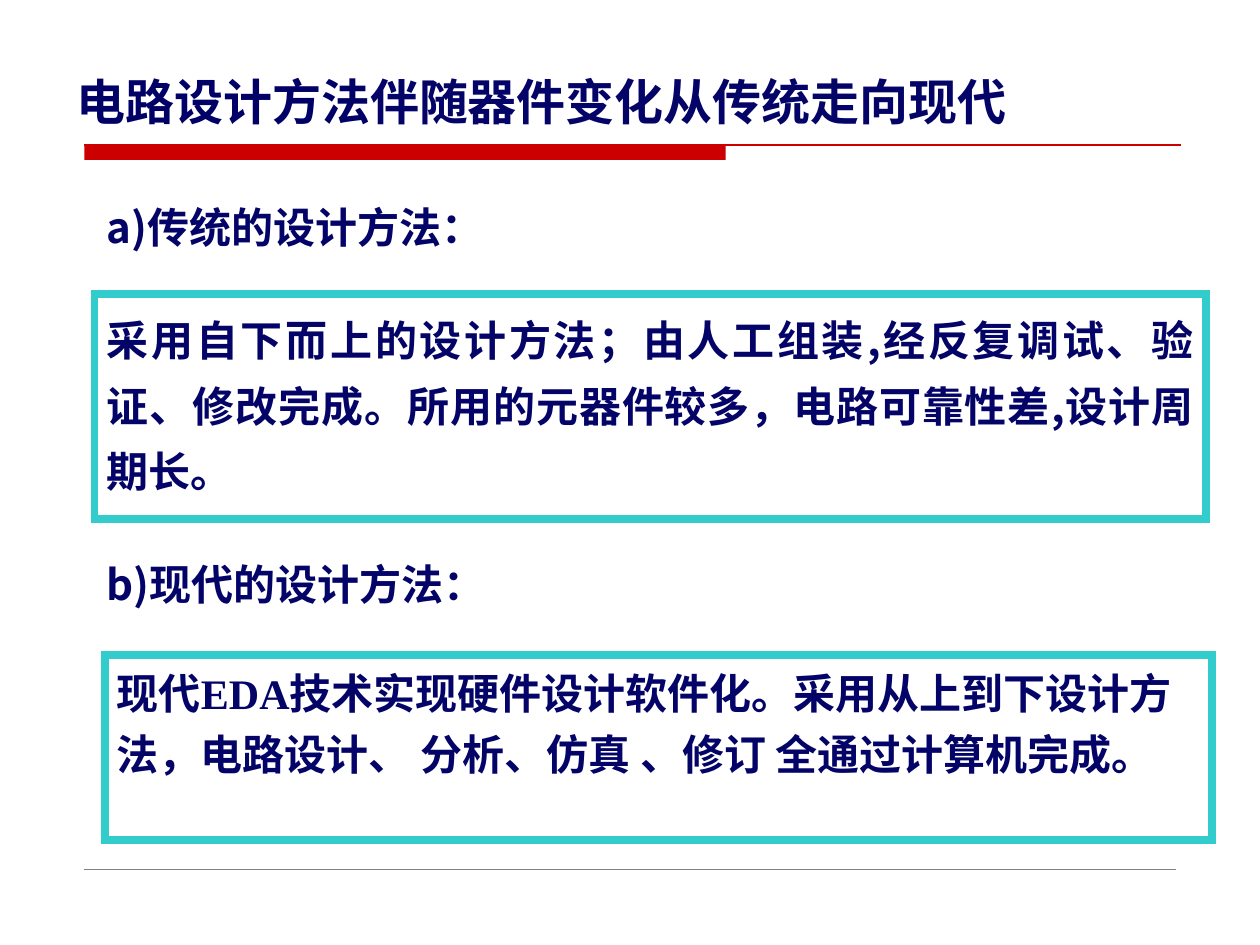
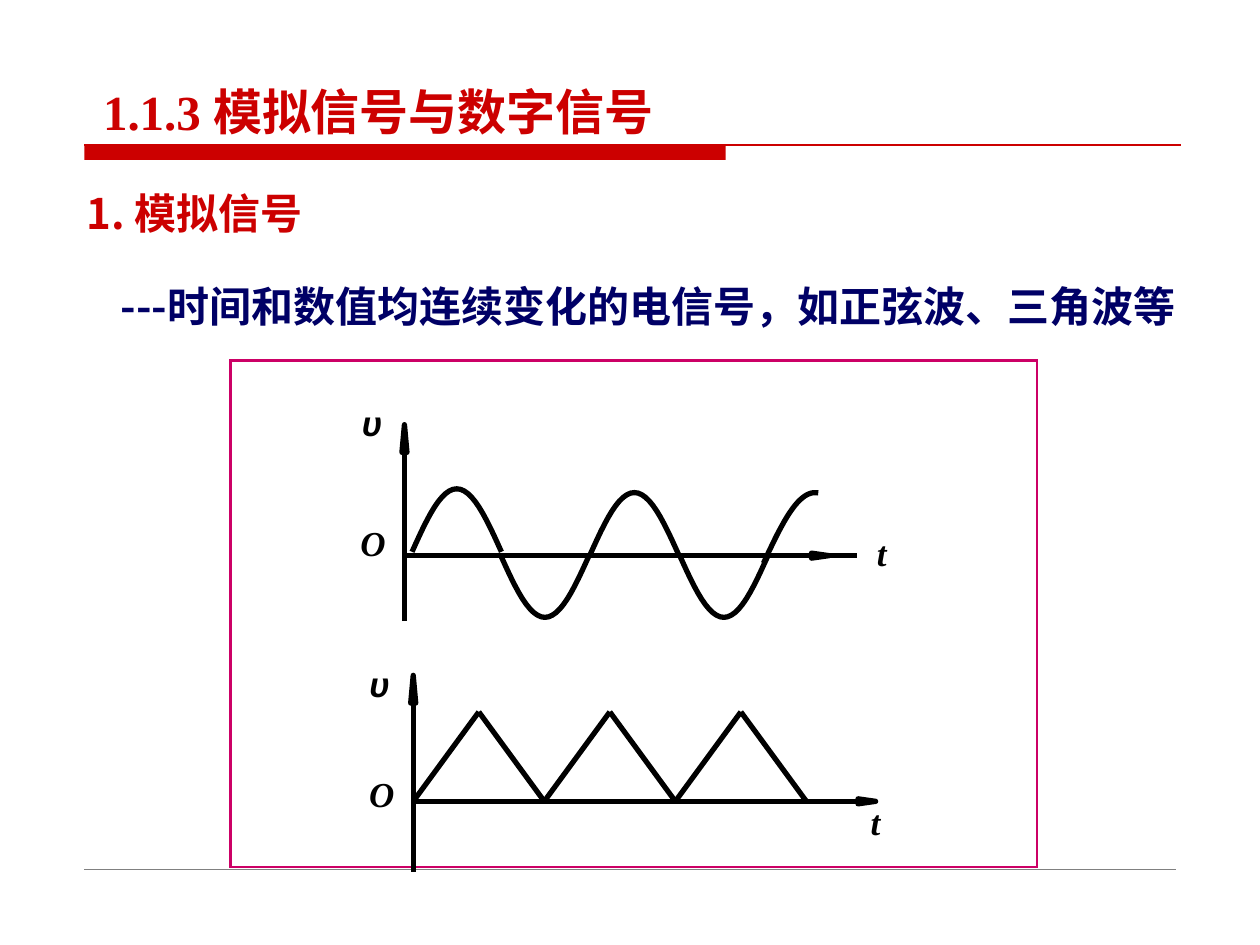
"""Two slides on circuit design methods and analog signals."""
from itertools import pairwise
from math import pi, sin

from lxml import etree
from pptx import Presentation
from pptx.dml.color import RGBColor
from pptx.enum.shapes import MSO_CONNECTOR, MSO_SHAPE
from pptx.enum.text import PP_ALIGN
from pptx.oxml.ns import qn
from pptx.util import Inches, Pt

RECT, STRAIGHT = MSO_SHAPE.RECTANGLE, MSO_CONNECTOR.STRAIGHT
LEFT, JUSTIFY = PP_ALIGN.LEFT, PP_ALIGN.JUSTIFY
SANS, SERIF, LABEL = "Noto Sans CJK SC", "Times New Roman", "Arial"
RED, NAVY, DEEP, TEAL = "CC0000", "000066", "040468", "33CCCC"
MAGENTA, GREY, BLACK, WHITE = "CC0066", "808080", "000000", "FFFFFF"
MARGIN, PAGE_RIGHT = 0.67, 9.35
BAND_TOP, BAND_WIDTH, BAND_HEIGHT, FOOT_Y = 1.15, 5.09, 0.12, 6.9

METHODS_TITLE = [("电路设计方法", SANS, NAVY), ("伴随器件变化从传统走向现代", SANS, DEEP)]
METHODS = [
    dict(head="a)传统的设计方法：", head_y=1.55, text_at=(0.75, 2.33, 8.82, 1.66),
         frame=(0.75, 2.33, 8.82, 1.79), spacing=1.3, align=JUSTIFY,
         runs=[("采用自下而上的设计方法；由人工组装,经反复调试、验证、修改完成。"
                "所用的元器件较多，电路可靠性差,设计周期长。", SANS, DEEP)]),
    dict(head="b)现代的设计方法：", head_y=4.38, text_at=(0.83, 5.17, 8.82, 1.06),
         frame=(0.83, 5.2, 8.79, 1.47), spacing=1.2, align=LEFT,
         runs=[("现代EDA", SERIF, DEEP),
               ("技术实现硬件设计软件化。采用从上到下设计方法，电路设计、 分析、仿真 、"
                "修订 全通过计算机完成。", SANS, DEEP)]),
]

SIGNAL_TITLE = [("1.1.3 ", SERIF, RED), ("模拟信号与数字信号", SANS, RED)]
SIGNAL_HEAD = [("1. 模拟信号", SANS, RED)]
SIGNAL_TEXT = [("---时间和数值均连续变化的电信号，如正弦波、三角波等", SANS, NAVY)]
PLOT_FRAME = (1.83, 2.86, 6.4, 4.02)
PLOTS = [
    dict(x=3.21, zero=4.41, top=3.37, bottom=4.93, right=6.8, tip=6.58,
         labels=[("υ", LABEL, 2.87, 3.19), ("O", SERIF, 2.86, 4.14), ("t", SERIF, 6.96, 4.22)]),
    dict(x=3.28, zero=6.36, top=5.36, bottom=6.92, right=6.95, tip=6.95,
         labels=[("υ", LABEL, 2.93, 5.26), ("O", SERIF, 2.93, 6.13), ("t", SERIF, 6.91, 6.35)]),
]
HALF_WAVE, STEPS = 0.71, 24
LOBES = [(3.27, 4.38, -0.5, HALF_WAVE, 1), (3.97, 4.4, 0.5, HALF_WAVE, 1),
         (4.68, 4.41, -0.5, HALF_WAVE, 1), (5.39, 4.4, 0.5, HALF_WAVE, 1),
         (6.06, 4.47, -0.56, 0.82, 0.53)]
RAMP, RAMPS, PEAK_Y = 0.52, 6, 5.65


def rgb(value):
    return RGBColor.from_string(value)


def style(shape, fill=None, line=None, width=3):
    shape.shadow.inherit = False
    if fill:
        shape.fill.solid()
        shape.fill.fore_color.rgb = rgb(fill)
    else:
        shape.fill.background()
    if line:
        shape.line.color.rgb = rgb(line)
        shape.line.width = Pt(width)
    else:
        shape.line.fill.background()


def add_rect(s, box, **look):
    shape = s.shapes.add_shape(RECT, *map(Inches, box))
    style(shape, **look)
    ln = shape._element.spPr.find(qn("a:ln"))
    etree.SubElement(ln, qn("a:miter")).set("lim", "800000")


def add_line(s, start, end, color=BLACK, width=3):
    c = s.shapes.add_connector(STRAIGHT, *map(Inches, (*start, *end)))
    c.line.color.rgb = rgb(color)
    c.line.width = Pt(width)
    etree.SubElement(c._element.spPr, qn("a:effectLst"))


def add_outline(s, points, close=False, fill=None):
    first, *rest = [(Inches(x), Inches(y)) for x, y in points]
    builder = s.shapes.build_freeform(*first, scale=1.0)
    builder.add_line_segments(rest, close=close)
    style(builder.convert_to_shape(), fill=fill, line=BLACK)


def add_text(s, box, runs, size=24, spacing=None, align=LEFT, italic=None, inset=(0.1, 0.05), hang=0):
    tf = s.shapes.add_textbox(*map(Inches, box)).text_frame
    tf.word_wrap = True
    tf.margin_left = tf.margin_right = Inches(inset[0])
    tf.margin_top = tf.margin_bottom = Inches(inset[1])
    p = tf.paragraphs[0]
    p.alignment = align
    if spacing:
        p.line_spacing = spacing
    pPr = p._p.get_or_add_pPr()
    pPr.set("hangingPunct", "0")
    if hang:
        pPr.set("marL", str(Inches(hang)))
        pPr.set("indent", str(-Inches(hang)))
    _, base_font, base_color = runs[0]
    p.font.size, p.font.bold, p.font.italic = Pt(size), True, italic
    p.font.color.rgb = rgb(base_color)
    p.font.name = base_font
    defaults = pPr.find(qn("a:defRPr"))
    etree.SubElement(defaults, qn("a:ea")).set("typeface", SANS)
    for text, font, color in runs:
        r = p.add_run()
        r.text = text
        if font != base_font:
            r.font.name = font
        if color != base_color:
            r.font.color.rgb = rgb(color)


def add_page(prs, title, title_box):
    s = prs.slides.add_slide(prs.slide_layouts[6])
    add_rect(s, (MARGIN, BAND_TOP, BAND_WIDTH, BAND_HEIGHT), fill=RED)
    add_line(s, (MARGIN, BAND_TOP), (PAGE_RIGHT + 0.02, BAND_TOP), RED, 0.75)
    add_line(s, (MARGIN, FOOT_Y), (PAGE_RIGHT - 0.02, FOOT_Y), GREY, 0.25)
    add_text(s, title_box, title, size=28)
    return s


def add_axes(s, plot):
    x, zero, top, tip = (plot[key] for key in ("x", "zero", "top", "tip"))
    add_line(s, (x, plot["bottom"]), (x, top))
    add_line(s, (x, zero), (plot["right"], zero))
    add_outline(s, [(x + 0.02, top + 0.22), (x - 0.02, top + 0.22), (x, top)], True, BLACK)
    add_outline(s, [(tip - 0.14, zero + 0.02), (tip - 0.14, zero - 0.02), (tip, zero)], True, BLACK)
    for text, font, left, label_top in plot["labels"]:
        add_text(s, (left, label_top, 0.3, 0.33), [(text, font, BLACK)],
                 size=20, italic=True, inset=(0, 0))


def methods_slide(prs):
    s = add_page(prs, METHODS_TITLE, (0.51, 0.52, 8.03, 0.57))
    for m in METHODS:
        add_text(s, (0.75, m["head_y"], 3.78, 0.5), [(m["head"], SANS, DEEP)])
        add_text(s, m["text_at"], m["runs"], spacing=m["spacing"], align=m["align"])
        add_rect(s, m["frame"], line=TEAL, width=4.5)


def signal_slide(prs):
    s = add_page(prs, SIGNAL_TITLE, (0.72, 0.6, 4.76, 0.57))
    add_text(s, (0.59, 1.44, 6.46, 0.5), SIGNAL_HEAD)
    add_rect(s, PLOT_FRAME, fill=WHITE, line=MAGENTA, width=1.5)
    add_text(s, (0.86, 2.02, 9.14, 0.66), SIGNAL_TEXT, spacing=1.4, hang=0.5)
    for plot in PLOTS:
        add_axes(s, plot)
    for x, base, height, width, share in LOBES:
        turns = [share * i / STEPS for i in range(STEPS + 1)]
        add_outline(s, [(x + width * t, base + height * sin(pi * t)) for t in turns])
    triangle = PLOTS[1]
    corners = [(triangle["x"] + i * RAMP, PEAK_Y if i % 2 else triangle["zero"])
               for i in range(RAMPS + 1)]
    for start, end in pairwise(corners):
        add_line(s, start, end)


def main():
    prs = Presentation()
    prs.slide_width, prs.slide_height = Inches(10), Inches(7.5)
    methods_slide(prs)
    signal_slide(prs)
    prs.save("out.pptx")


if __name__ == "__main__":
    main()
